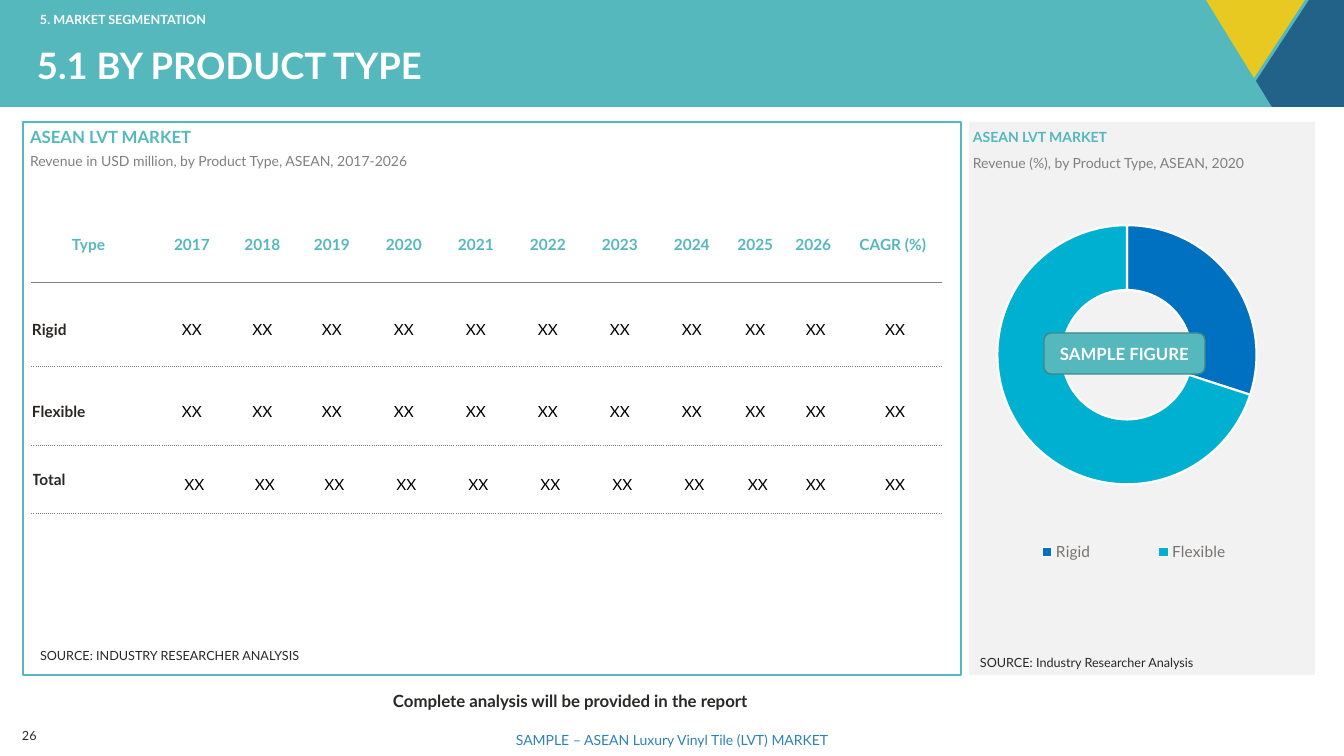
from dataclasses import dataclass

from lxml.etree import SubElement
from pptx import Presentation
from pptx.chart.data import CategoryChartData
from pptx.dml.color import RGBColor
from pptx.enum.chart import XL_CHART_TYPE, XL_LEGEND_POSITION
from pptx.enum.shapes import MSO_SHAPE
from pptx.enum.text import MSO_ANCHOR, MSO_AUTO_SIZE, PP_ALIGN
from pptx.oxml import parse_xml
from pptx.oxml.ns import nsdecls, qn
from pptx.util import Emu, Pt

EMU_PER_PIXEL = 914400 / 100.8


def px(length: int) -> Emu:
    return Emu(round(length * EMU_PER_PIXEL))


@dataclass(frozen=True)
class Theme:
    font: str = "Lato"
    teal: str = "54B8BD"
    teal_edge: str = "3E888C"
    yellow: str = "E8C921"
    navy: str = "236288"
    panel: str = "F2F2F2"
    white: str = "FFFFFF"
    black: str = "000000"
    ink: str = "292827"
    grey: str = "808080"
    legend: str = "767370"
    footer: str = "2D82B5"
    rigid: str = "0070C0"
    flexible: str = "00B0D1"
    title: int = 26
    heading: int = 12
    table: int = 11
    body: int = 10
    small: int = 9


THEME = Theme()
NO_INSET = (0, 0, 0, 0)
BOX_INSET = (10, 5, 10, 5)


@dataclass(frozen=True)
class Style:
    size: int
    color: str
    bold: bool = False
    align: PP_ALIGN = PP_ALIGN.LEFT
    anchor: MSO_ANCHOR = MSO_ANCHOR.TOP
    inset: tuple = NO_INSET
    line_spacing: float = 1.0
    space_after: int = 0


@dataclass(frozen=True)
class Label:
    text: str
    at: tuple
    style: Style


@dataclass(frozen=True)
class Panel:
    at: tuple
    fill: str
    line: str | None = None
    kind: MSO_SHAPE = MSO_SHAPE.RECTANGLE


def rgb(color: str) -> RGBColor:
    return RGBColor.from_string(color)


def set_font(font, size: int, color: str, bold: bool = False) -> None:
    font.name, font.size, font.bold = THEME.font, Pt(size), bold
    font.color.rgb = rgb(color)


def write(holder, frame, text: str, style: Style) -> None:
    """Holder carries margins and anchor: a text frame or a table cell."""
    holder.margin_left, holder.margin_top, holder.margin_right, holder.margin_bottom = map(px, style.inset)
    holder.vertical_anchor = style.anchor
    para = frame.paragraphs[0]
    para.alignment = style.align
    para.line_spacing = style.line_spacing
    para.space_after = Pt(style.space_after)
    span = para.add_run()
    span.text = text
    set_font(span.font, style.size, style.color, style.bold)


def fill_box(box, label: Label) -> None:
    box.left, box.top, box.width, box.height = map(px, label.at)
    frame = box.text_frame
    frame.word_wrap = True
    frame.auto_size = MSO_AUTO_SIZE.NONE
    write(frame, frame, label.text, label.style)


def paint(shape, fill: str, line: str | None = None) -> None:
    shape.shadow.inherit = False
    shape.fill.solid()
    shape.fill.fore_color.rgb = rgb(fill)
    if line:
        shape.line.color.rgb = rgb(line)
        shape.line.width = Pt(1)
    else:
        shape.line.fill.background()


def add_panel(page, panel: Panel):
    shape = page.shapes.add_shape(panel.kind, *map(px, panel.at))
    paint(shape, panel.fill, panel.line)
    return shape


def add_outline(page, points: list, fill: str) -> None:
    builder = page.shapes.build_freeform(*points[0], scale=EMU_PER_PIXEL)
    builder.add_line_segments(points[1:], close=True)
    paint(builder.convert_to_shape(), fill)


def add_border(cell, side: str, color: str, points: float, dash: str = "solid") -> None:
    edge = SubElement(cell._tc.get_or_add_tcPr(), qn(f"a:ln{side}"), w=str(Pt(points)))
    SubElement(SubElement(edge, qn("a:solidFill")), qn("a:srgbClr"), val=color)
    SubElement(edge, qn("a:prstDash"), val=dash)


def place_in_chart(element, x: float, y: float, w: float, h: float, inner: bool = False) -> None:
    target = '<c:layoutTarget val="inner"/>' if inner else ""
    modes = '<c:xMode val="edge"/><c:yMode val="edge"/>'
    sizes = "".join(f'<c:{key} val="{val}"/>' for key, val in zip("xywh", (x, y, w, h)))
    for old in element.findall(qn("c:layout")):
        element.remove(old)
    layout = parse_xml(f'<c:layout {nsdecls("c")}><c:manualLayout>{target}{modes}{sizes}</c:manualLayout></c:layout>')
    element.insert(1 if element.tag == qn("c:legend") else 0, layout)


deck = Presentation()
deck.slide_width, deck.slide_height = px(1344), px(756)
page = deck.slides.add_slide(deck.slide_layouts[5])

# Header band, corner shapes and the two panels
add_panel(page, Panel((969, 122, 346, 553), THEME.panel))
add_panel(page, Panel((0, 0, 1344, 107), THEME.teal))
add_outline(page, [(1206, 0), (1305, 0), (1254, 78)], THEME.yellow)
add_outline(page, [(1309, 0), (1344, 0), (1344, 107), (1272, 107), (1256, 81)], THEME.navy)
add_panel(page, Panel((23, 122, 938, 553), THEME.white, THEME.teal))

# Title, brought in front of the header band
title = page.shapes.title
title.element.getparent().append(title.element)
fill_box(title, Label("5.1 BY PRODUCT TYPE", (37, 43, 1168, 44), Style(THEME.title, THEME.white, True)))

# Revenue table
YEARS = [str(year) for year in range(2017, 2027)]
HEADERS = ["Type", *YEARS, "CAGR (%)"]
ROWS = [HEADERS] + [[name] + ["XX"] * (len(HEADERS) - 1) for name in ("Rigid", "Flexible", "Total")]
COLUMN_WIDTHS = [123, 74, 67] + [72] * 6 + [55, 61, 98]
ROW_HEIGHTS = [74, 85, 79, 68]
TOTAL_ROW = len(ROWS) - 1


def cell_style(row: int, column: int) -> Style:
    middle = MSO_ANCHOR.MIDDLE
    if row == 0:
        inset = (5, 10, 5, 10) if column else (0, 10, 10, 10)
        return Style(THEME.table, THEME.teal, True, PP_ALIGN.CENTER, middle, inset)
    if column == 0:
        spacing, after = (1.0, 0) if row == TOTAL_ROW else (1.5, 8)
        return Style(THEME.table, THEME.ink, True, PP_ALIGN.LEFT, middle, (0, 12, 10, 12), spacing, after)
    roomy = row == TOTAL_ROW or column >= len(YEARS)
    inset = (5, 12, 0, 12) if roomy else (1, 1, 1, 0)
    return Style(THEME.table, THEME.black, False, PP_ALIGN.CENTER, middle, inset, 1.5)


table = page.shapes.add_table(len(ROWS), len(HEADERS), px(32), px(208),
                              px(sum(COLUMN_WIDTHS)), px(sum(ROW_HEIGHTS))).table
table.first_row = table.horz_banding = False
for column, width in zip(table.columns, COLUMN_WIDTHS):
    column.width = px(width)
for row, height in zip(table.rows, ROW_HEIGHTS):
    row.height = px(height)
for r, texts in enumerate(ROWS):
    for c, text in enumerate(texts):
        cell = table.cell(r, c)
        write(cell, cell.text_frame, text, cell_style(r, c))
        for side in "LR":
            add_border(cell, side, THEME.white, 1)
        if r:
            add_border(cell, "T", THEME.grey, 0.75, "solid" if r == 1 else "sysDot")
        add_border(cell, "B", THEME.grey, 0.75, "sysDot" if r else "solid")
        cell.fill.background()

# Doughnut chart of revenue shares
shares = CategoryChartData()
shares.categories = ["Rigid", "Flexible"]
shares.add_series("Series 1", (30, 70))
chart = page.shapes.add_chart(XL_CHART_TYPE.DOUGHNUT, px(947), px(204), px(360), px(419), shares).chart
chart.has_title = False
set_font(chart.font, THEME.body, THEME.ink)
plot = chart.plots[0]
plot.vary_by_categories = True
plot._element.find(qn("c:holeSize")).set("val", "60")
for index, color in enumerate((THEME.rigid, THEME.flexible)):
    paint_format = plot.series[0].points[index].format
    paint_format.fill.solid()
    paint_format.fill.fore_color.rgb = rgb(color)
    paint_format.line.color.rgb = rgb(THEME.white)
    paint_format.line.width = Pt(1.5)
chart.has_legend = True
chart.legend.position = XL_LEGEND_POSITION.BOTTOM
chart.legend.include_in_layout = False
set_font(chart.legend.font, THEME.table, THEME.legend)
place_in_chart(plot._element.getparent(), 0.14, 0.05, 0.72, 0.62, inner=True)
place_in_chart(chart.legend._element, 0.09, 0.78, 0.86, 0.1)

# Badge over the chart
badge = add_panel(page, Panel((1044, 333, 161, 41), THEME.teal, THEME.teal_edge, MSO_SHAPE.ROUNDED_RECTANGLE))
fill_box(badge, Label("SAMPLE FIGURE", (1044, 333, 161, 41), Style(
    THEME.heading, THEME.white, True, PP_ALIGN.CENTER, MSO_ANCHOR.MIDDLE, BOX_INSET)))

# Headings, sources and footer
BOTTOM = MSO_ANCHOR.BOTTOM
SUBTITLE = Style(THEME.body, THEME.grey, anchor=BOTTOM, space_after=5)
SOURCE = Style(THEME.small, THEME.ink, inset=BOX_INSET, line_spacing=0.9)
LABELS = [
    Label("5. MARKET SEGMENTATION", (30, 9, 1168, 22),
          Style(THEME.small, THEME.white, True, inset=BOX_INSET, line_spacing=0.9)),
    Label("ASEAN LVT MARKET", (30, 127, 538, 20), Style(THEME.heading, THEME.teal, True, anchor=BOTTOM, space_after=5)),
    Label("Revenue in USD million, by Product Type, ASEAN, 2017-2026", (30, 152, 515, 17), SUBTITLE),
    Label("ASEAN LVT MARKET", (973, 128, 360, 17), Style(THEME.body, THEME.teal, True, anchor=BOTTOM, space_after=5)),
    Label("Revenue (%), by Product Type, ASEAN, 2020", (973, 154, 327, 17), SUBTITLE),
    Label("SOURCE: INDUSTRY RESEARCHER ANALYSIS", (30, 645, 640, 17), SOURCE),
    Label("SOURCE: Industry Researcher Analysis", (970, 652, 374, 20), SOURCE),
    Label("Complete analysis will be provided in the report", (393, 693, 397, 18),
          Style(THEME.heading, THEME.ink, True, line_spacing=0.9)),
    Label("SAMPLE – ASEAN Luxury Vinyl Tile (LVT) MARKET", (110, 731, 1124, 17),
          Style(THEME.body, THEME.footer, align=PP_ALIGN.CENTER, anchor=BOTTOM, space_after=5)),
    Label("26", (22, 728, 27, 15), Style(THEME.small, THEME.ink)),
]
for label in LABELS:
    fill_box(page.shapes.add_textbox(*map(px, label.at)), label)

deck.save("out.pptx")
